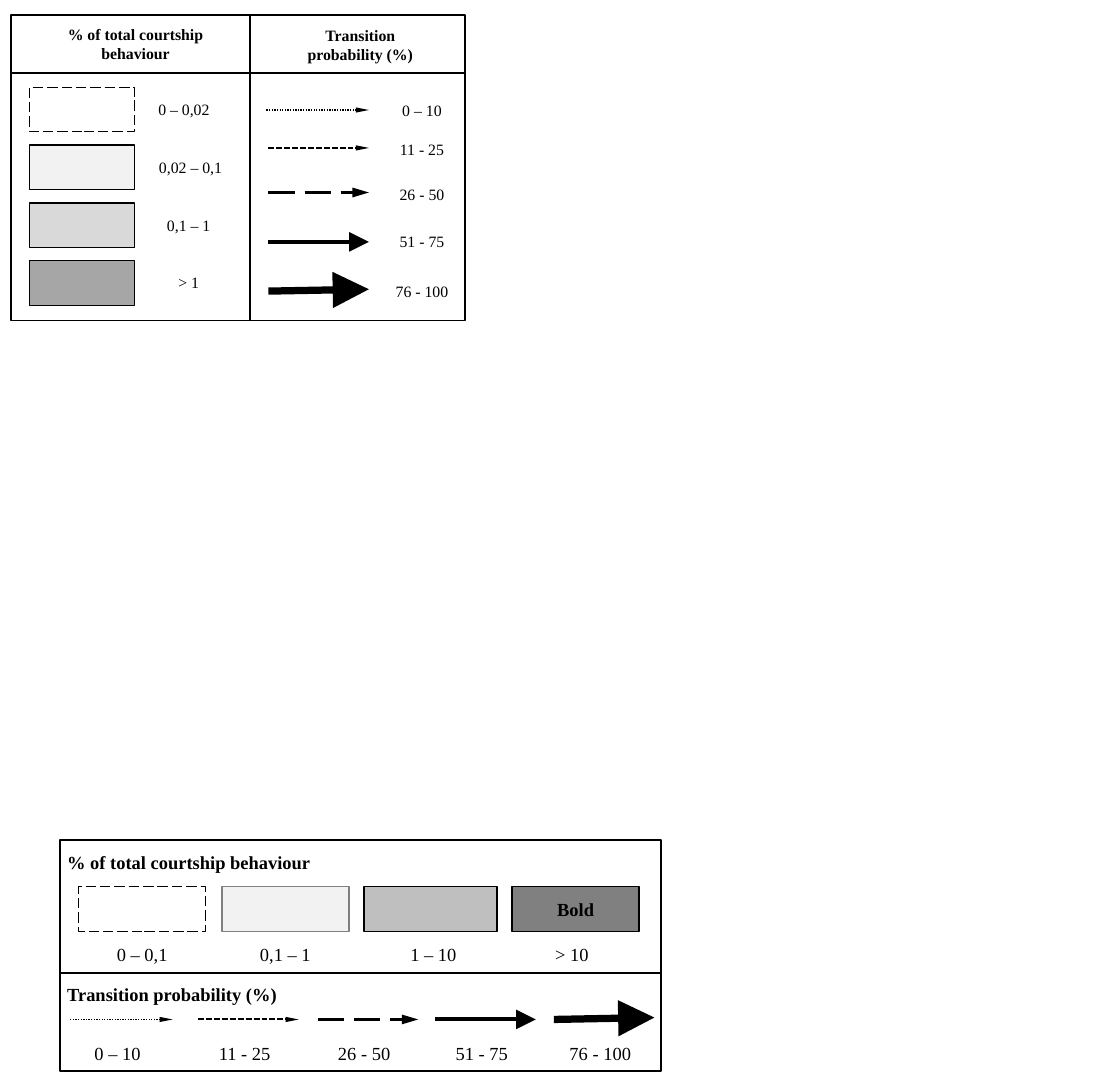
from dataclasses import dataclass
from pptx import Presentation
from pptx.dml.color import RGBColor
from pptx.enum.dml import MSO_LINE
from pptx.enum.shapes import MSO_CONNECTOR, MSO_SHAPE
from pptx.enum.text import MSO_ANCHOR, PP_ALIGN
from pptx.oxml.ns import qn
from pptx.util import Inches, Pt
from lxml import etree

RECT = MSO_SHAPE.RECTANGLE
LINE = MSO_CONNECTOR.STRAIGHT
MIDDLE = MSO_ANCHOR.MIDDLE
LEFT, CENTER = PP_ALIGN.LEFT, PP_ALIGN.CENTER
LONG = MSO_LINE.LONG_DASH
DASH = MSO_LINE.SQUARE_DOT
DOT = MSO_LINE.ROUND_DOT


@dataclass(frozen=True)
class Theme:
    font: str = "Times New Roman"
    ink: str = "000000"
    paper: str = "FFFFFF"
    pale: str = "F2F2F2"
    light: str = "D9D9D9"
    silver: str = "BFBFBF"
    mid: str = "A6A6A6"
    gray: str = "808080"
    small: int = 12
    large: int = 14
    frame: float = 1.5
    edge: float = 1


THEME = Theme()
BEHAVE = "% of total courtship behaviour"
CHANCE = "Transition probability (%)"
ARROWS = [
    ("0 – 10", 1, DOT, "sm", 1.08, 0),
    ("11 - 25", 1.5, DASH, "sm", 1.06, 0),
    ("26 - 50", 2.5, LONG, "med", 1.06, 0),
    ("51 - 75", 3, None, "lg", 1.06, 0),
    ("76 - 100", 5.5, None, "lg", 1.06, -0.02),
]


def write(frame, words, size, bold=False, align=CENTER):
    frame.word_wrap = True
    frame.vertical_anchor = MIDDLE
    para = frame.paragraphs[0]
    para.text = words
    para.alignment = align
    font = para.font
    font.name, font.size, font.bold = THEME.font, Pt(size), bold
    font.color.rgb = RGBColor.from_string(THEME.ink)


def label(slide, words, mid, size, wide=1.4, bold=False, align=CENTER):
    tall = 0.5
    x, y = mid[0] - wide / 2, mid[1] - tall / 2
    box = slide.shapes.add_textbox(*map(Inches, (x, y, wide, tall)))
    write(box.text_frame, words, size, bold, align)


def block(slide, box, fill, line, width, dash=None):
    shape = slide.shapes.add_shape(RECT, *map(Inches, box))
    shape.shadow.inherit = False
    shape.fill.solid()
    shape.fill.fore_color.rgb = RGBColor.from_string(fill)
    shape.line.color.rgb = RGBColor.from_string(line)
    shape.line.width = Pt(width)
    if dash:
        shape.line.dash_style = dash
    return shape


def panel(slide, box):
    block(slide, box, THEME.paper, THEME.ink, THEME.frame)


def arrow(slide, x, y, width, dash, head, length, rise):
    ends = map(Inches, (x, y, x + length, y + rise))
    link = slide.shapes.add_connector(LINE, *ends)
    link.line.color.rgb = RGBColor.from_string(THEME.ink)
    link.line.width = Pt(width)
    if dash:
        link.line.dash_style = dash
    props = link._element.spPr
    tail = etree.SubElement(props.find(qn("a:ln")), qn("a:tailEnd"))
    for key, value in (("type", "triangle"), ("w", head), ("len", "lg")):
        tail.set(key, value)
    etree.SubElement(props, qn("a:effectLst"))


def shades(slide, box):
    x, y, w, h = box
    head, step = 0.61, 0.61
    panel(slide, (x, y, w, head))
    panel(slide, (x, y + head, w, h - head))
    label(slide, BEHAVE, (x + 1.31, y + 0.3), THEME.small, 1.76, True)
    rows = [
        ("0 – 0,02", THEME.paper, LONG, 1.82),
        ("0,02 – 0,1", THEME.pale, None, 1.89),
        ("0,1 – 1", THEME.light, None, 1.87),
        ("> 1", THEME.mid, None, 1.87),
    ]
    for i, (words, fill, dash, mid) in enumerate(rows):
        top = y + head + 0.15 + i * step
        block(slide, (x + 0.19, top, 1.11, 0.47), fill, THEME.ink, THEME.edge, dash)
        label(slide, words, (x + mid, top + 0.23), THEME.small)


def chances(slide, box):
    x, y, w, h = box
    head = 0.61
    panel(slide, (x, y, w, head))
    panel(slide, (x, y + head, w, h - head))
    label(slide, CHANCE, (x + 1.16, y + 0.31), THEME.small, 1.76, True)
    spots = [(1.0, 1.0), (1.4, 1.41), (1.87, 1.89), (2.39, 2.38), (2.91, 2.91)]
    for (words, *style), (down, mid) in zip(ARROWS, spots):
        length = style[3]
        arrow(slide, x + 1.25 - length, y + down, *style)
        label(slide, words, (x + 1.81, y + mid), THEME.small)


def swatches(slide, box):
    x, y, w, h = box
    panel(slide, box)
    label(slide, BEHAVE, (x + 1.98, y + 0.23), THEME.large, 4, True, LEFT)
    cols = [
        ("0 – 0,1", THEME.paper, THEME.ink, LONG, 0.2, 1.34, 0.87, ""),
        ("0,1 – 1", THEME.pale, THEME.gray, None, 1.71, 1.34, 2.38, ""),
        ("1 – 10", THEME.silver, THEME.ink, None, 3.21, 1.4, 3.94, ""),
        ("> 10", THEME.gray, THEME.ink, None, 4.77, 1.34, 5.4, "Bold"),
    ]
    for words, fill, line, dash, left, wide, mid, inner in cols:
        spot = (x + left, y + 0.49, wide, 0.47)
        shape = block(slide, spot, fill, line, THEME.edge, dash)
        if inner:
            write(shape.text_frame, inner, THEME.large, True)
        label(slide, words, (x + mid, y + 1.2), THEME.large)


def strip(slide, box):
    x, y, w, h = box
    panel(slide, box)
    label(slide, CHANCE, (x + 1.98, y + 0.22), THEME.large, 4, True, LEFT)
    lefts = [0.11, 1.46, 2.72, 3.96, 5.21]
    for (words, *style), left in zip(ARROWS, lefts):
        length = style[3]
        arrow(slide, x + left, y + 0.49, *style)
        mid = x + left + length / 2 - 0.04
        label(slide, words, (mid, y + 0.85), THEME.large)


def main():
    deck = Presentation()
    deck.slide_width, deck.slide_height = Inches(11.81), Inches(11.42)
    slide = deck.slides.add_slide(deck.slide_layouts[6])
    shades(slide, (0.12, 0.16, 2.52, 3.22))
    chances(slide, (2.64, 0.16, 2.26, 3.22))
    swatches(slide, (0.63, 8.86, 6.34, 1.4))
    strip(slide, (0.63, 10.26, 6.34, 1.03))
    deck.save("out.pptx")


if __name__ == "__main__":
    main()
